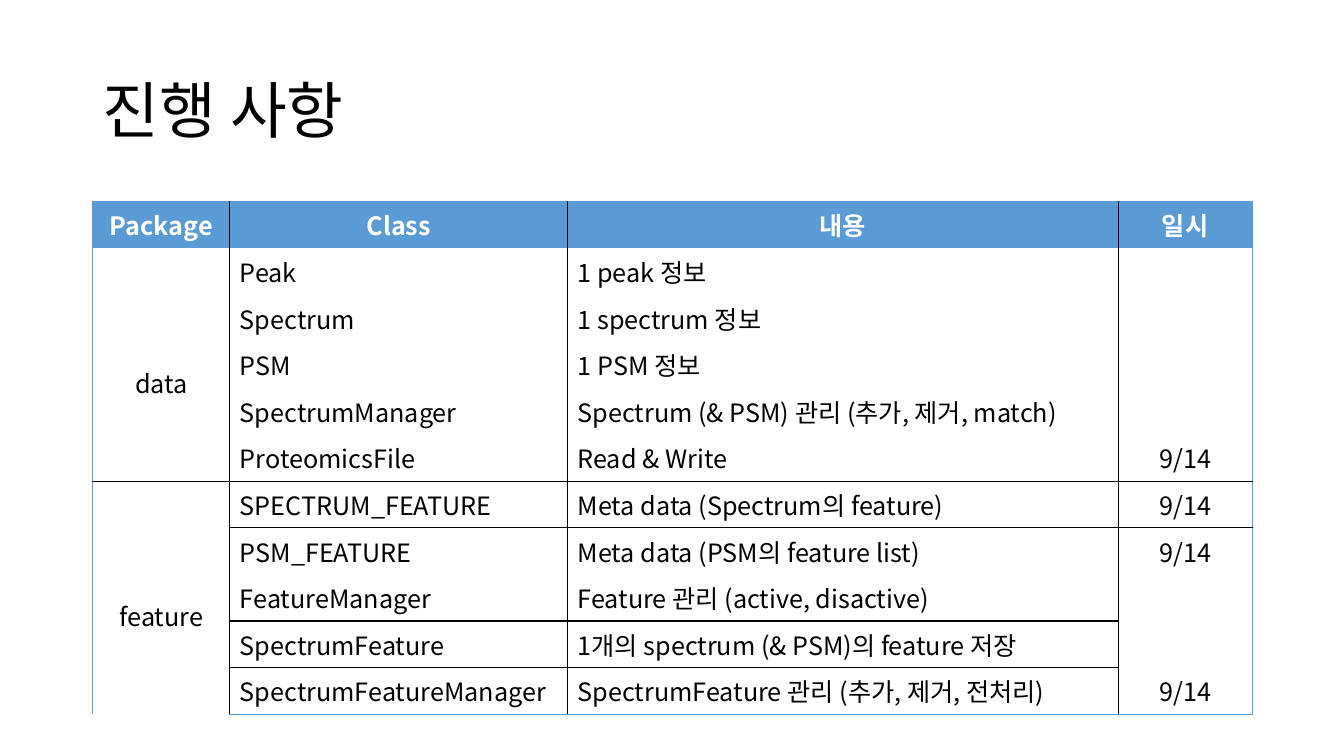
from dataclasses import dataclass

from lxml.etree import SubElement
from pptx import Presentation
from pptx.dml.color import RGBColor
from pptx.enum.text import MSO_ANCHOR, PP_ALIGN
from pptx.oxml.ns import qn
from pptx.util import Inches, Pt


@dataclass(frozen=True)
class Theme:
    font: str = "Noto Sans CJK KR"
    ink: str = "000000"
    paper: str = "FFFFFF"
    accent: str = "5B9BD5"
    title_size: int = 44
    table_size: int = 18


THEME = Theme()
INNER_LINE = (THEME.ink, 1)
OUTER_LINE = (THEME.accent, 0.5)
NO_GRID_STYLE = "{2D5ABB26-0587-4C30-8999-92F81FD0307C}"

HEADINGS = ("Package", "Class", "내용", "일시")
COLUMN_WIDTHS = (1.36, 3.35, 5.46, 1.33)
ROW_HEIGHT = 0.41
# Package, then its classes with description and date
PACKAGES = {
    "data": [
        ("Peak", "1 peak 정보", ""),
        ("Spectrum", "1 spectrum 정보", ""),
        ("PSM", "1 PSM 정보", ""),
        ("SpectrumManager", "Spectrum (& PSM) 관리 (추가, 제거, match)", ""),
        ("ProteomicsFile", "Read & Write", "9/14"),
    ],
    "feature": [
        ("SPECTRUM_FEATURE", "Meta data (Spectrum의 feature)", "9/14"),
        ("PSM_FEATURE", "Meta data (PSM의 feature list)", "9/14"),
        ("FeatureManager", "Feature 관리 (active, disactive)", ""),
        ("SpectrumFeature", "1개의 spectrum (& PSM)의 feature 저장", ""),
        ("SpectrumFeatureManager", "SpectrumFeature 관리 (추가, 제거, 전처리)", "9/14"),
    ],
}
# Row above each dividing line, with the columns the line crosses
DIVIDERS = {5: (0, 1, 2, 3), 6: (1, 2, 3), 8: (1, 2), 9: (1, 2)}


def write(paragraph, text, size, color, align, bold=False):
    paragraph.alignment = align
    run = paragraph.add_run()
    run.text = text
    run.font.name = THEME.font
    run.font.size = Pt(size)
    run.font.bold = bold
    run.font.color.rgb = RGBColor.from_string(color)
    SubElement(run.font._element, qn("a:ea"), typeface=THEME.font)


def write_cell(cell, text, color, align, bold=False):
    if text:
        write(cell.text_frame.paragraphs[0], text, THEME.table_size, color, align, bold)


def set_borders(cell, row, column, last_row, last_column):
    def divider(row_above):
        return INNER_LINE if column in DIVIDERS.get(row_above, ()) else None

    edges = {
        "a:lnL": INNER_LINE if column else OUTER_LINE,
        "a:lnR": INNER_LINE if column < last_column else OUTER_LINE,
        "a:lnT": divider(row - 1) if row else OUTER_LINE,
        "a:lnB": divider(row) if row < last_row else OUTER_LINE,
    }
    properties = cell._tc.get_or_add_tcPr()
    for tag, edge in edges.items():
        if edge:
            color, width = edge
            line = SubElement(properties, qn(tag), w=str(Pt(width)))
            fill = SubElement(line, qn("a:solidFill"))
            SubElement(fill, qn("a:srgbClr"), val=color)
        else:
            SubElement(SubElement(properties, qn(tag), w="0"), qn("a:noFill"))


def add_title(slide, text, left, top, width, height):
    title = slide.shapes.title
    title.left, title.top = Inches(left), Inches(top)
    title.width, title.height = Inches(width), Inches(height)
    title.text_frame.vertical_anchor = MSO_ANCHOR.MIDDLE
    heading = title.text_frame.paragraphs[0]
    heading.line_spacing = 0.9
    write(heading, text, THEME.title_size, THEME.ink, PP_ALIGN.LEFT)


def add_progress_table(slide, left, top, width):
    row_count = 1 + sum(len(classes) for classes in PACKAGES.values())
    frame = slide.shapes.add_table(
        row_count, len(HEADINGS), Inches(left), Inches(top),
        Inches(width), Inches(ROW_HEIGHT * row_count))
    progress = frame.table
    progress.horz_banding = False
    progress._tbl.tblPr.find(qn("a:tableStyleId")).text = NO_GRID_STYLE
    for column, share in zip(progress.columns, COLUMN_WIDTHS):
        column.width = Inches(width * share / sum(COLUMN_WIDTHS))

    # Borders and fills
    for row_index, row in enumerate(progress.rows):
        row.height = Inches(ROW_HEIGHT)
        for column_index, cell in enumerate(row.cells):
            set_borders(cell, row_index, column_index, row_count - 1, len(HEADINGS) - 1)
            if row_index == 0:
                cell.fill.solid()
                cell.fill.fore_color.rgb = RGBColor.from_string(THEME.accent)
            else:
                cell.fill.background()

    # Header
    for column_index, heading in enumerate(HEADINGS):
        write_cell(progress.cell(0, column_index), heading, THEME.paper,
                   PP_ALIGN.CENTER, bold=True)

    # Packages and their classes
    first = 1
    for package_name, classes in PACKAGES.items():
        package_cell = progress.cell(first, 0)
        package_cell.merge(progress.cell(first + len(classes) - 1, 0))
        package_cell.vertical_anchor = MSO_ANCHOR.MIDDLE
        package_cell.margin_top = Inches(ROW_HEIGHT)
        write_cell(package_cell, package_name, THEME.ink, PP_ALIGN.CENTER)
        for row_index, (class_name, description, date) in enumerate(classes, first):
            write_cell(progress.cell(row_index, 1), class_name, THEME.ink, PP_ALIGN.LEFT)
            write_cell(progress.cell(row_index, 2), description, THEME.ink, PP_ALIGN.LEFT)
            write_cell(progress.cell(row_index, 3), date, THEME.ink, PP_ALIGN.CENTER)
        first += len(classes)


deck = Presentation()
deck.slide_width, deck.slide_height = Inches(13.33), Inches(7.5)
progress_slide = deck.slides.add_slide(deck.slide_layouts[5])
add_title(progress_slide, "진행 사항", 0.92, 0.4, 11.5, 1.45)
add_progress_table(progress_slide, 0.92, 2, 11.5)
deck.save("out.pptx")
